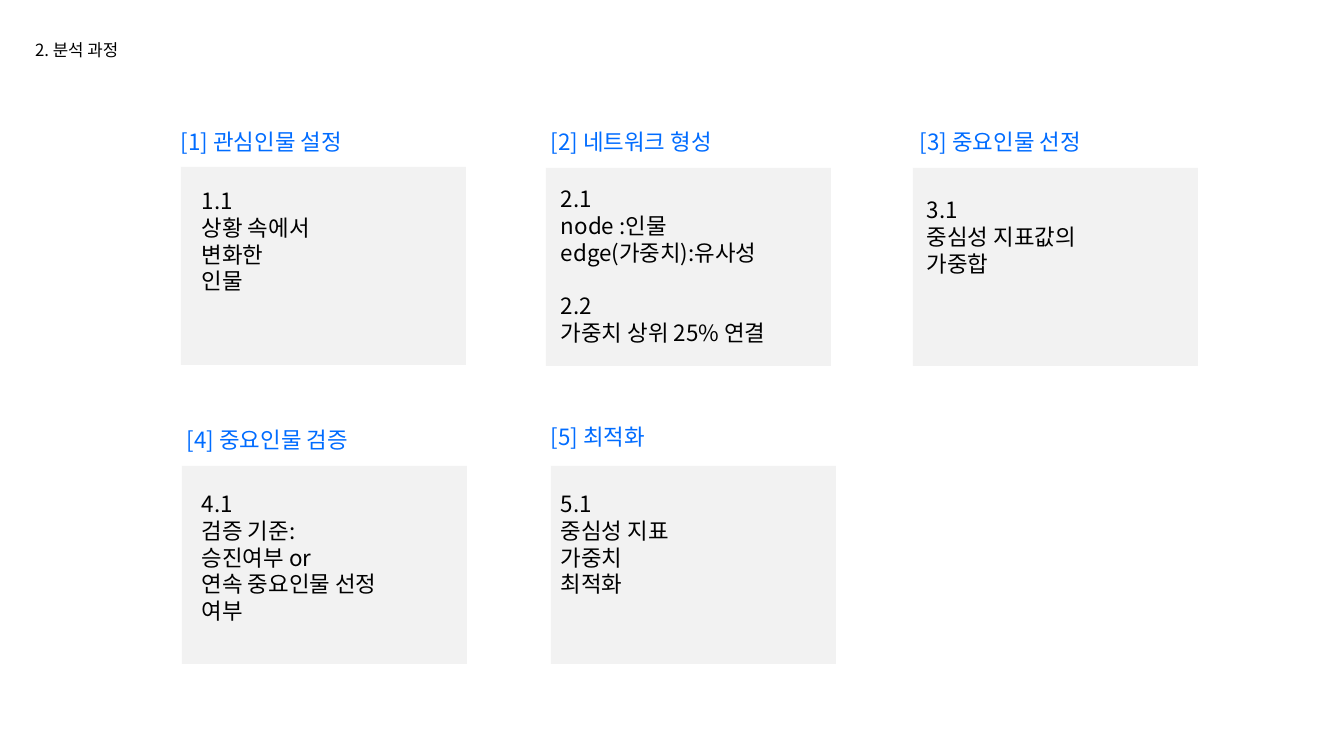
from dataclasses import dataclass

from lxml import etree
from pptx import Presentation
from pptx import util as u
from pptx.dml.color import RGBColor
from pptx.enum import shapes, text
from pptx.oxml import ns

PX_PER_INCH = 100.8
FONT = "Noto Sans CJK KR"
BLACK, BLUE, GREY = "000000", "006CFF", "F2F2F2"
CARD_SIZE = (285, 198)
HEADING_SIZE = (233, 37)
BODY_POINTS = 16
BLOCK_GAP = 19
FRAME_FORMAT = {
    "word_wrap": True,
    "auto_size": text.MSO_AUTO_SIZE.NONE,
    "vertical_anchor": text.MSO_ANCHOR.TOP,
}


@dataclass(frozen=True)
class Step:
    """One stage; each block of lines is set apart by a gap."""
    heading: str
    heading_at: tuple[int, int]
    card_at: tuple[int, int]
    body_box: tuple[int, int, int, int]
    blocks: list[list[str]]


STEPS = [
    Step("[1] 관심인물 설정", (171, 123), (181, 167), (192, 182, 194, 119),
         [["1.1", "상황 속에서 변화한", "인물"]]),
    Step("[2] 네트워크 형성", (541, 123), (546, 168), (551, 180, 251, 173),
         [["2.1", "node :인물", "edge(가중치):유사성"],
          ["2.2", "가중치 상위 25% 연결"]]),
    Step("[3] 중요인물 선정", (910, 123), (913, 168), (917, 191, 228, 65),
         [["3.1", "중심성 지표값의 가중합"]]),
    Step("[4] 중요인물 검증", (177, 421), (182, 466), (192, 485, 233, 119),
         [["4.1", "검증 기준:", "승진여부 or", "연속 중요인물 선정 여부"]]),
    Step("[5] 최적화", (541, 418), (551, 466), (551, 485, 143, 92),
         [["5.1", "중심성 지표", "가중치 최적화"]]),
]


def px(length: float) -> int:
    return round(length * u.Inches(1) / PX_PER_INCH)


def rgb(colour: str) -> RGBColor:
    return RGBColor.from_string(colour)


def write(frame, blocks: list[list[str]], points: int, colour: str) -> None:
    for name, value in FRAME_FORMAT.items():
        setattr(frame, name, value)
    paragraph = None
    for block in blocks:
        for index, line in enumerate(block):
            is_first = paragraph is None
            paragraph = frame.paragraphs[0] if is_first else frame.add_paragraph()
            paragraph.alignment = text.PP_ALIGN.LEFT
            if index == 0 and not is_first:
                paragraph.space_before = u.Pt(BLOCK_GAP)
            run = paragraph.add_run()
            run.text = line
            run.font.size = u.Pt(points)
            run.font.color.rgb = rgb(colour)
            run.font.name = FONT
            east_asian = etree.SubElement(run.font._element, ns.qn("a:ea"))
            east_asian.set("typeface", FONT)


def add_title(slide, title: str) -> None:
    shape = slide.shapes.title
    box = {"left": 25, "top": 35, "width": 233, "height": 30}
    for name, value in box.items():
        setattr(shape, name, px(value))
    write(shape.text_frame, [[title]], 12, BLACK)


def add_text(slide, box: tuple[int, ...], blocks: list[list[str]], colour: str) -> None:
    shape = slide.shapes.add_textbox(*map(px, box))
    write(shape.text_frame, blocks, BODY_POINTS, colour)


def add_step(slide, step: Step) -> None:
    card = slide.shapes.add_shape(
        shapes.MSO_SHAPE.RECTANGLE, *map(px, step.card_at + CARD_SIZE))
    card.shadow.inherit = False
    card.fill.solid()
    card.fill.fore_color.rgb = rgb(GREY)
    card.line.fill.background()
    add_text(slide, step.heading_at + HEADING_SIZE, [[step.heading]], BLUE)
    add_text(slide, step.body_box, step.blocks, BLACK)


def main() -> None:
    presentation = Presentation()
    presentation.slide_width = px(1344)
    presentation.slide_height = px(756)
    title_only = presentation.slide_layouts[5]
    slide = presentation.slides.add_slide(title_only)
    add_title(slide, "2. 분석 과정")
    for step in STEPS:
        add_step(slide, step)
    presentation.save("out.pptx")


if __name__ == "__main__":
    main()
